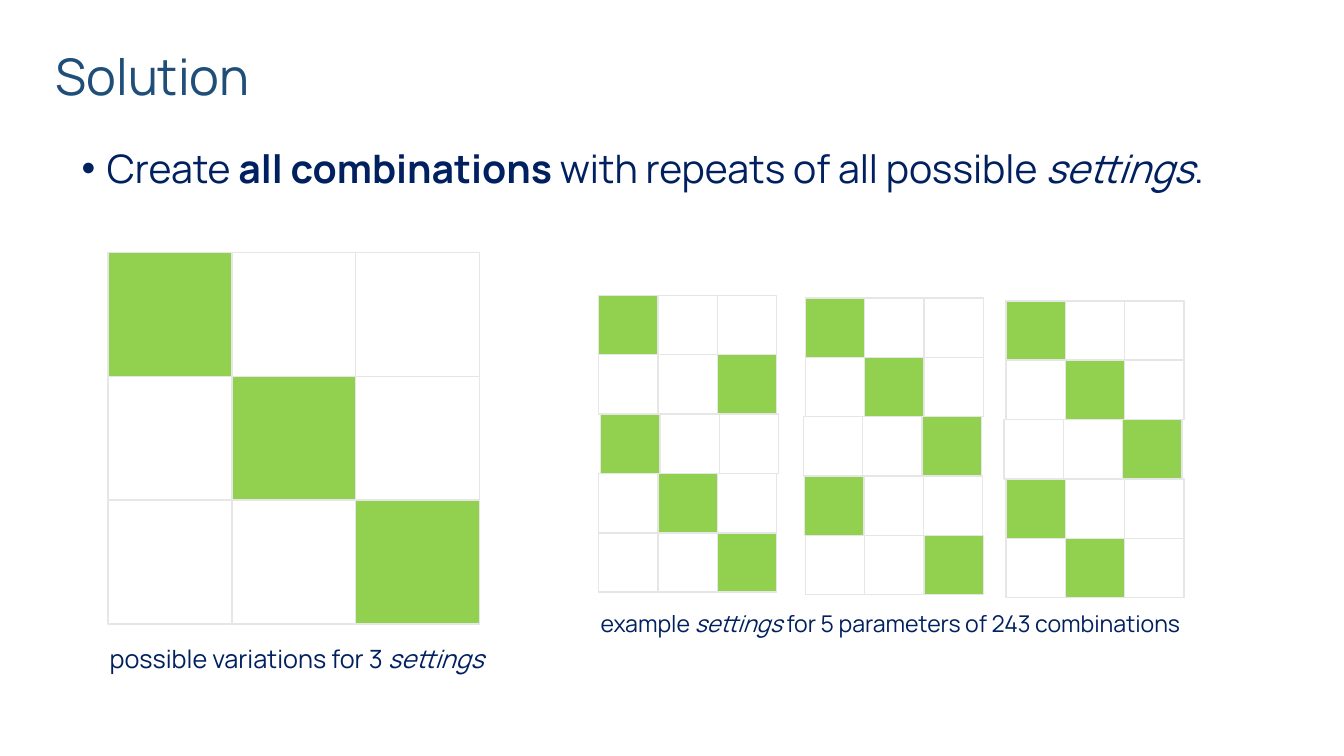
import pptx
import pptx.util
import pptx.dml.color
import pptx.enum.shapes
import pptx.enum.text
import pptx.oxml

Pt = pptx.util.Pt
COLORS = {"title": "1F4E79", "text": "002060", "on": "92D050", "off": "FFFFFF", "border": "E7E6E6"}
FONT = "Manrope"

TITLE = [("Solution", {})]
BODY = [
    ("Create ", {}),
    ("all combinations ", {"bold": True}),
    ("with repeats of all possible ", {}),
    ("settings", {"italic": True}),
    (".", {}),
]
CAPTIONS = [
    ((71.3, 455.8, 281.5, 28.8), 18,
     [("possible variations for 3 ", {}), ("settings", {"italic": True})]),
    ((421.9, 432, 432.7, 27.4), 16.5,
     [("example ", {}), ("settings", {"italic": True}),
      (" for 5 parameters of 243 combinations", {})]),
]
VARIATIONS = [
    {"left": 77.2, "top": 180.4, "cell": 88.4, "chosen": [0, 1, 2], "shifts": [0, 0, 0]},
]
EXAMPLES = [
    {"left": 427.7, "top": 211, "cell": 42.4, "chosen": [0, 2, 0, 1, 2], "shifts": [0, 0, 1.4, 0, 0]},
    {"left": 575.2, "top": 212.8, "cell": 42.4, "chosen": [0, 1, 2, 0, 2], "shifts": [0, 0, -1.4, -0.4, 0]},
    {"left": 718.6, "top": 214.9, "cell": 42.4, "chosen": [0, 1, 2, 0, 1], "shifts": [0, 0, -1.4, 0, 0]},
]
COLUMNS = 3


def rgb(name):
    return pptx.dml.color.RGBColor.from_string(COLORS[name])


def place(sp, box):
    for name, value in zip(("left", "top", "width", "height"), box):
        setattr(sp, name, Pt(value))


def write(p, runs, size, color):
    for text, extra in runs:
        r = p.add_run()
        r.text = text
        for name, value in {"name": FONT, "size": Pt(size), **extra}.items():
            setattr(r.font, name, value)
        r.font.color.rgb = rgb(color)


def draw_grids(slide, grids):
    group = slide.shapes.add_group_shape()
    for grid in grids:
        cell = grid["cell"]
        for row, (chosen, shift) in enumerate(zip(grid["chosen"], grid["shifts"])):
            for col in range(COLUMNS):
                sp = group.shapes.add_shape(
                    pptx.enum.shapes.MSO_SHAPE.RECTANGLE,
                    Pt(grid["left"] + shift + col * cell), Pt(grid["top"] + row * cell),
                    Pt(cell), Pt(cell))
                sp.shadow.inherit = False
                sp.fill.solid()
                sp.fill.fore_color.rgb = rgb("on" if col == chosen else "off")
                sp.line.color.rgb = rgb("border")
                sp.line.width = Pt(1)


def main():
    prs = pptx.Presentation()
    prs.slide_width, prs.slide_height = Pt(960), Pt(540)
    slide = prs.slides.add_slide(prs.slide_layouts[1])

    title, body = slide.placeholders
    place(title, (32.4, 28.8, 861.8, 56.2))
    place(body, (51.1, 103, 849.6, 389.5))
    for sp, runs, size, color in ((title, TITLE, 36, "title"), (body, BODY, 28, "text")):
        tf = sp.text_frame
        tf.auto_size = pptx.enum.text.MSO_AUTO_SIZE.NONE
        p = tf.paragraphs[0]
        layout = {"alignment": pptx.enum.text.PP_ALIGN.LEFT, "line_spacing": 0.9, "space_before": Pt(0)}
        for name, value in layout.items():
            setattr(p, name, value)
        write(p, runs, size, color)
    title.text_frame.vertical_anchor = pptx.enum.text.MSO_ANCHOR.MIDDLE

    pPr = body.text_frame.paragraphs[0]._p.get_or_add_pPr()
    pPr.set("marL", str(Pt(18)))
    pPr.set("indent", str(-Pt(18)))
    ns = 'xmlns:a="http://schemas.openxmlformats.org/drawingml/2006/main"'
    for tag in ('buFont {} typeface="Arial"', 'buChar {} char="•"'):
        pPr.append(pptx.oxml.parse_xml("<a:" + tag.format(ns) + "/>"))

    draw_grids(slide, VARIATIONS)
    draw_grids(slide, EXAMPLES)

    for box, size, runs in CAPTIONS:
        tf = slide.shapes.add_textbox(*map(Pt, box)).text_frame
        tf.word_wrap = False
        tf.auto_size = pptx.enum.text.MSO_AUTO_SIZE.SHAPE_TO_FIT_TEXT
        write(tf.paragraphs[0], runs, size, "text")

    prs.save("out.pptx")


if __name__ == "__main__":
    main()
